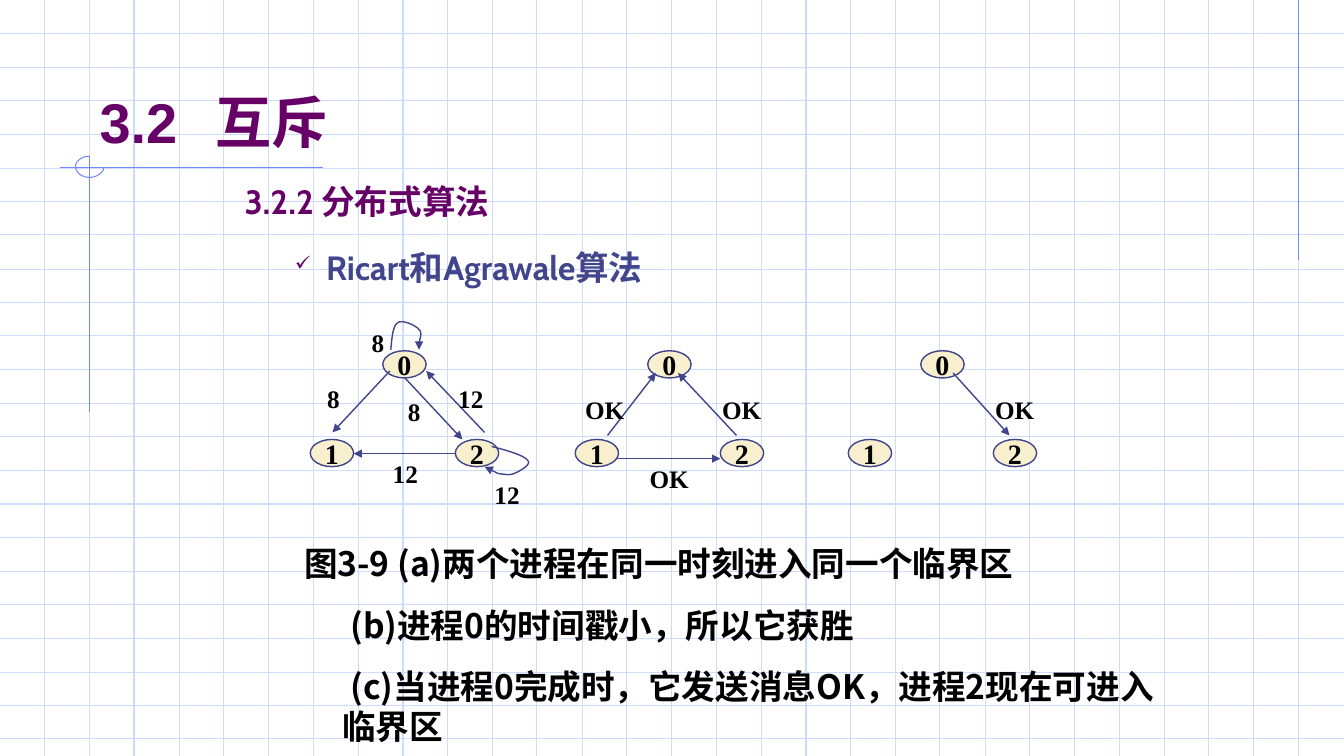
import pptx
import pptx.dml.color
import pptx.enum.lang
import pptx.enum.shapes
import pptx.enum.text
import pptx.oxml
import pptx.oxml.ns
import pptx.util

EMU_PER_PX = 9144
WIDTH, HEIGHT = 1334, 750
GRID, ACCENT, INK, PURPLE, CREAM, BLACK = (
    "CFDBFD", "6F89F7", "40458C", "660066", "F7EFCD", "000000")
SERIF, SANS, CJK = "Times New Roman", "Cabin", "Noto Sans CJK SC"
ALIGN = pptx.enum.text.PP_ALIGN
ANCHOR = pptx.enum.text.MSO_ANCHOR


def px(n):
    return pptx.util.Emu(round(n * EMU_PER_PX))


def rgb(color):
    return pptx.dml.color.RGBColor.from_string(color)


def add_xml(parent, tag, children="", **attrs):
    """Append one DrawingML element to parent."""
    listed = " ".join(f'{k}="{v}"' for k, v in attrs.items())
    ns = pptx.oxml.ns.nsdecls("a")
    parent.append(pptx.oxml.parse_xml(
        f"<a:{tag} {ns} {listed}>{children}</a:{tag}>"))


class Board:
    """Holds the current slide and its drawing style."""

    def __init__(self, slide):
        self.shapes = slide.shapes

    def line(self, x1, y1, x2, y2, color=INK, width=1, arrow=False):
        kind = pptx.enum.shapes.MSO_CONNECTOR.STRAIGHT
        sp = self.shapes.add_connector(kind, px(x1), px(y1), px(x2), px(y2))
        self.outline(sp, color, width)
        if arrow:
            add_xml(sp.line._get_or_add_ln(), "tailEnd", type="triangle")
        add_xml(sp._element.spPr, "effectLst")

    def arrow(self, *ends):
        self.line(*ends, arrow=True)

    def outline(self, sp, color, width):
        sp.line.color.rgb = rgb(color)
        sp.line.width = pptx.util.Pt(width)

    def curve(self, start, *beziers, color=INK, width=1, steps=12):
        """Open outline through cubic segments (control, control, end)."""
        points, p0 = [], start
        for c1, c2, p3 in beziers:
            for i in range(1, steps + 1):
                t = i / steps
                u = 1 - t
                points.append(tuple(
                    px(u**3 * a + 3 * u * u * t * b + 3 * u * t * t * c + t**3 * d)
                    for a, b, c, d in zip(p0, c1, c2, p3)))
            p0 = p3
        fb = self.shapes.build_freeform(px(start[0]), px(start[1]))
        fb.add_line_segments(points, close=False)
        sp = fb.convert_to_shape()
        sp.shadow.inherit = False
        sp.fill.background()
        self.outline(sp, color, width)

    def run(self, p, text, size, font, color):
        r = p.add_run()
        r.text = text
        r.font.size = pptx.util.Pt(size)
        r.font.bold = True
        r.font.name = font
        r.font.color.rgb = rgb(color)
        r.font.language_id = pptx.enum.lang.MSO_LANGUAGE_ID.SIMPLIFIED_CHINESE
        add_xml(r.font._element, "ea", typeface=font)

    def node(self, x, y, text):
        oval = pptx.enum.shapes.MSO_SHAPE.OVAL
        sp = self.shapes.add_shape(oval, px(x), px(y), px(43), px(27))
        sp.shadow.inherit = False
        sp.fill.solid()
        sp.fill.fore_color.rgb = rgb(CREAM)
        self.outline(sp, INK, 1)
        tf = sp.text_frame
        tf.word_wrap = False
        tf.vertical_anchor = ANCHOR.MIDDLE
        p = tf.paragraphs[0]
        p.alignment = ALIGN.CENTER
        self.run(p, text, 20, SERIF, BLACK)

    def text_box(self, x, y, w, h, anchor=ANCHOR.TOP):
        tf = self.shapes.add_textbox(px(x), px(y), px(w), px(h)).text_frame
        tf.word_wrap = True
        tf.vertical_anchor = anchor
        return tf

    def label(self, x, y, text):
        widths = {"8": 36, "12": 50, "OK": 64}
        tf = self.text_box(x, y, widths[text], 40)
        self.run(tf.paragraphs[0], text, 18, SERIF, BLACK)

    def indent(self, p, left, first):
        pPr = p._p.get_or_add_pPr()
        pPr.set("marL", str(px(left)))
        pPr.set("indent", str(px(first)))
        return pPr

    def line_gap(self, p, before):
        p.line_spacing = pptx.util.Pt(28.8)
        p.space_before = pptx.util.Pt(before)


def draw_background(board):
    # Graph-paper grid: 1/3 inch rows, 4/9 inch columns
    for i in range(1, 23):
        y = round(i * 100 / 3)
        board.line(0, y, WIDTH, y, GRID, 0.75)
    for i in range(1, 30):
        x = round(i * 400 / 9)
        board.line(x, 0, x, HEIGHT, GRID, 0.75)
    # Accent rules and the small open ring at their crossing
    for ends in ((1289, 0, 1289, 258), (321, 166, 60, 166), (89, 155, 89, 409)):
        board.line(*ends, ACCENT, 0.75)
    board.curve((89, 155),
                ((81, 155), (75, 160), (75, 165)),
                ((75, 171), (81, 176), (89, 176)),
                ((96, 176), (103, 171), (103, 166)),
                color=ACCENT, width=0.75)


def draw_headings(board):
    # Title, with a tab stop between number and words
    p = board.text_box(89, 33, 1133, 125, ANCHOR.BOTTOM).paragraphs[0]
    add_xml(p._p.get_or_add_pPr(), "tabLst",
            f'<a:tab pos="{px(115)}" algn="l"/>')
    board.run(p, "3.2\t", 40, "Arial", PURPLE)
    board.run(p, "互斥", 40, SANS, PURPLE)

    # Section heading and ticked item
    tf = board.text_box(233, 175, 874, 110)
    p = tf.paragraphs[0]
    board.line_gap(p, 6)
    board.run(p, "3.2.2 分布式算法", 24, SANS, PURPLE)
    p = tf.add_paragraph()
    board.line_gap(p, 17.7)
    pPr = board.indent(p, 81, -31)
    add_xml(pPr, "buClr", f'<a:srgbClr val="{PURPLE}"/>')
    add_xml(pPr, "buSzPct", val=60000)
    add_xml(pPr, "buChar", char="✓")
    board.run(p, "Ricart和Agrawale算法", 24, SANS, INK)


def draw_diagrams(board):
    # Three process triangles
    for left in (308, 571, 842):
        for text, dx, y in (("0", 72, 348), ("1", 0, 436), ("2", 144, 436)):
            board.node(left + dx, y, text)

    # (a) requests, with self-loops at processes 2 and 0
    for ends in ((387, 368, 330, 429), (452, 450, 351, 450),
                 (481, 429, 423, 368), (402, 375, 459, 436),
                 (495, 470, 481, 463), (416, 341, 416, 347)):
        board.arrow(*ends)
    board.curve((488, 443),
                ((504, 447), (521, 452), (524, 457)),
                ((528, 461), (515, 468), (510, 470)),
                ((505, 472), (498, 470), (495, 470)))
    board.curve((388, 347),
                ((389, 335), (390, 323), (395, 320)),
                ((400, 317), (413, 323), (416, 327)),
                ((420, 330), (416, 338), (416, 341)))
    for x, y, text in ((315, 375, "8"), (395, 388, "8"), (359, 320, "8"),
                       (445, 375, "12"), (481, 471, "12"), (380, 450, "12")):
        board.label(x, y, text)

    # (b) and (c) replies
    for ends in ((731, 432, 673, 370), (611, 455, 715, 455),
                 (603, 432, 651, 370), (946, 370, 1002, 432)):
        board.arrow(*ends)
    for x, y in ((635, 455), (571, 386), (707, 386), (978, 386)):
        board.label(x, y, "OK")


def draw_caption(board):
    tf = board.text_box(292, 534, 883, 212)
    lines = (("图3-9 (a)两个进程在同一时刻进入同一个临界区", -38),
             ("(b)进程0的时间戳小，所以它获胜", 8),
             ("(c)当进程0完成时，它发送消息OK，进程2现在可进入临界区", 8))
    for i, (text, first) in enumerate(lines):
        p = tf.add_paragraph() if i else tf.paragraphs[0]
        board.line_gap(p, 15)
        board.indent(p, 38, first)
        board.run(p, text, 24, CJK, BLACK)


def main():
    prs = pptx.Presentation()
    prs.slide_width, prs.slide_height = px(WIDTH), px(HEIGHT)
    board = Board(prs.slides.add_slide(prs.slide_layouts[6]))
    draw_background(board)
    draw_headings(board)
    draw_diagrams(board)
    draw_caption(board)
    prs.save("out.pptx")


if __name__ == "__main__":
    main()
